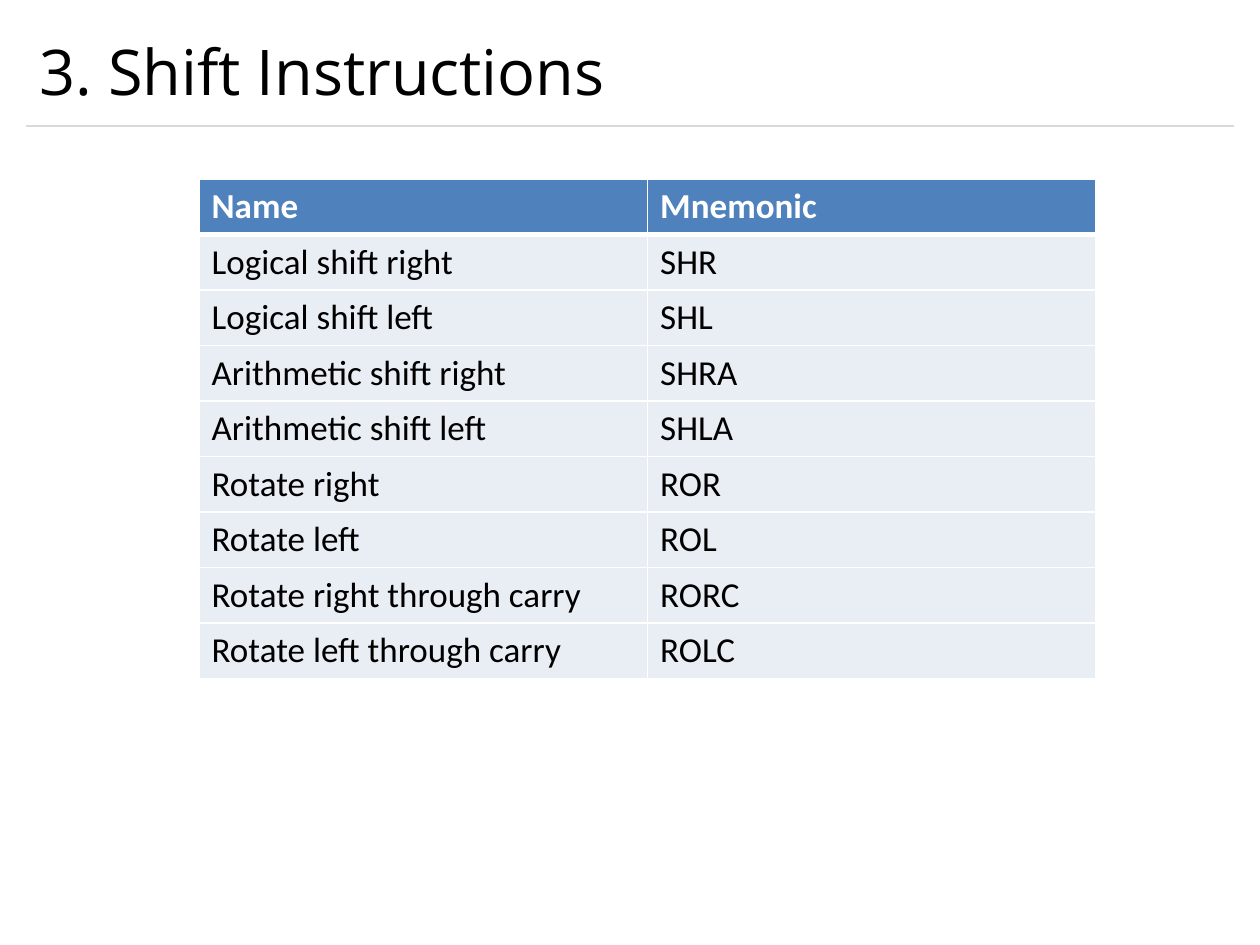
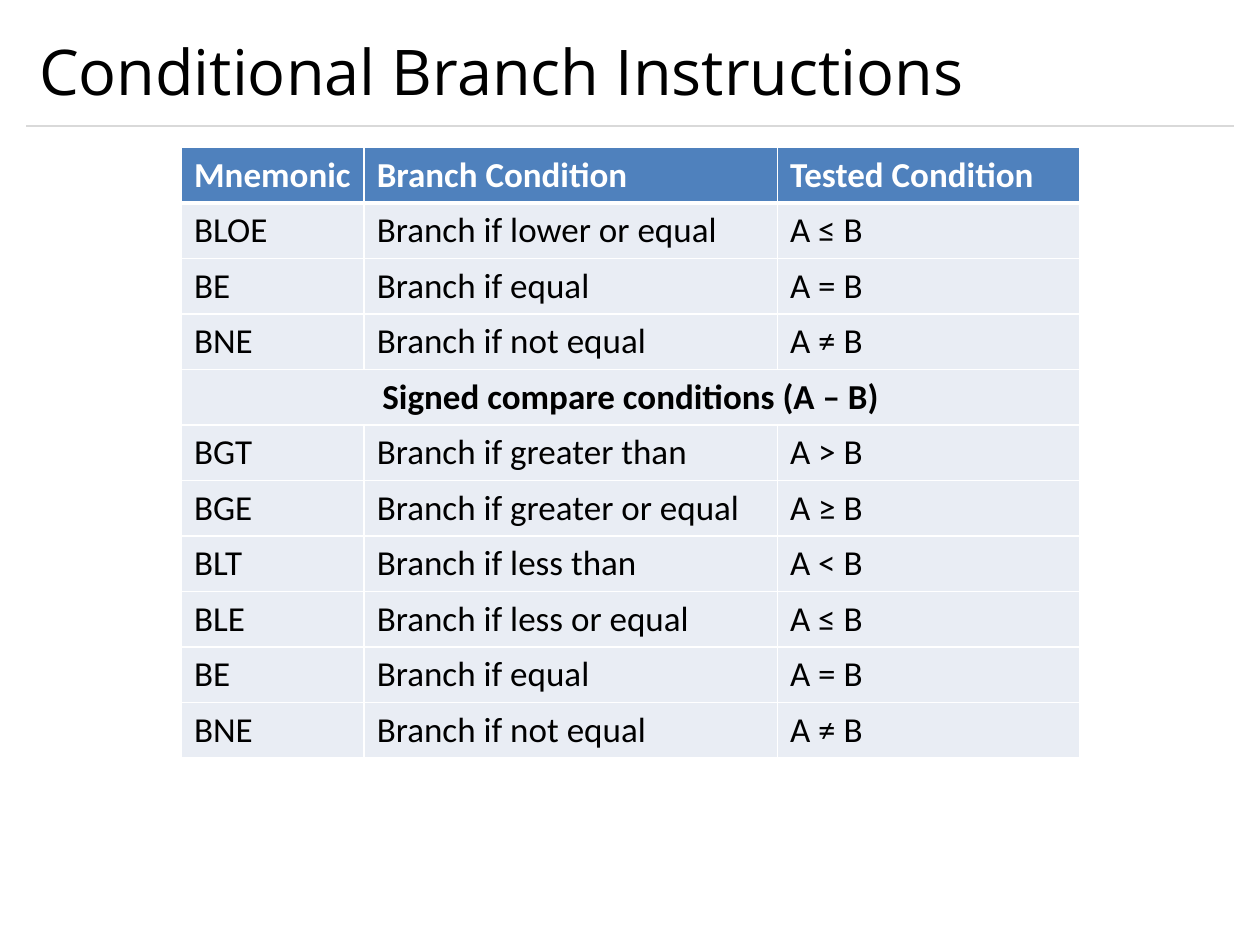
from pptx import Presentation
from pptx.dml.color import RGBColor
from pptx.enum.shapes import MSO_CONNECTOR
from pptx.enum.text import MSO_ANCHOR, MSO_AUTO_SIZE, PP_ALIGN
from pptx.oxml.ns import qn
from pptx.util import Inches, Pt
from lxml.etree import SubElement

# Content: a row with a single entry spans the whole table
SLIDES = [
    {
        "title": "3. Shift Instructions",
        "at": (1.58, 1.42),
        "cols": [3.56, 3.56],
        "rows": [
            ("Name", "Mnemonic"),
            ("Logical shift right", "SHR"),
            ("Logical shift left", "SHL"),
            ("Arithmetic shift right", "SHRA"),
            ("Arithmetic shift left", "SHLA"),
            ("Rotate right", "ROR"),
            ("Rotate left", "ROL"),
            ("Rotate right through carry", "RORC"),
            ("Rotate left through carry", "ROLC"),
        ],
    },
    {
        "title": "Conditional Branch Instructions",
        "at": (1.44, 1.17),
        "cols": [1.45, 3.28, 2.4],
        "rows": [
            ("Mnemonic", "Branch Condition", "Tested Condition"),
            ("BLOE", "Branch if lower or equal", "A ≤ B"),
            ("BE", "Branch if equal", "A = B"),
            ("BNE", "Branch if not equal", "A ≠ B"),
            ("Signed compare conditions (A – B)",),
            ("BGT", "Branch if greater than", "A > B"),
            ("BGE", "Branch if greater or equal", "A ≥ B"),
            ("BLT", "Branch if less than", "A < B"),
            ("BLE", "Branch if less or equal", "A ≤ B"),
            ("BE", "Branch if equal", "A = B"),
            ("BNE", "Branch if not equal", "A ≠ B"),
        ],
    },
]

# Shared style
BLACK, WHITE, RULE = "000000", "FFFFFF", "D9D9D9"
HEADER, BODY = "4F81BD", "E9EDF4"
TITLE_FONT, TABLE_FONT = "Open Sans", "Calibri"
LEFT, WIDTH = 0.21, 9.58
TITLE_TOP, RULE_Y = 0.12, 1
ROW_H = 0.43


def rgb(value):
    return RGBColor.from_string(value)


def style_text(p, font, size, color, bold=False, align=PP_ALIGN.LEFT):
    p.alignment = align
    for r in p.runs:
        f = r.font
        f.name, f.size, f.bold = font, Pt(size), bold
        f.color.rgb = rgb(color)


def add_rule(s):
    line = s.shapes.add_connector(
        MSO_CONNECTOR.STRAIGHT, Inches(LEFT), Inches(RULE_Y),
        Inches(LEFT + WIDTH), Inches(RULE_Y))
    line.line.color.rgb = rgb(RULE)
    line.line.width = Pt(0.75)
    SubElement(line._element.spPr, qn("a:effectLst"))


def set_title(s, text):
    sp = s.shapes.title
    sp.left, sp.top = Inches(LEFT), Inches(TITLE_TOP)
    sp.width, sp.height = Inches(WIDTH), Inches(RULE_Y - TITLE_TOP)
    tf = sp.text_frame
    tf.text = text
    tf.auto_size = MSO_AUTO_SIZE.NONE
    tf.vertical_anchor = MSO_ANCHOR.MIDDLE
    style_text(tf.paragraphs[0], TITLE_FONT, 36, BLACK)


def set_borders(cell, top, bottom):
    tc_pr = cell._tc.get_or_add_tcPr()
    for side, width in (("L", 1), ("R", 1), ("T", top), ("B", bottom)):
        ln = SubElement(tc_pr, qn("a:ln" + side), w=str(Pt(width)))
        fill = SubElement(ln, qn("a:solidFill"))
        SubElement(fill, qn("a:srgbClr"), val=WHITE)


def add_grid(s, at, cols, rows):
    x, y = at
    table = s.shapes.add_table(
        len(rows), len(cols), Inches(x), Inches(y),
        Inches(sum(cols)), Inches(ROW_H * len(rows))).table
    table.horz_banding = False
    for column, width in zip(table.columns, cols):
        column.width = Inches(width)
    for i, row in enumerate(rows):
        table.rows[i].height = Inches(ROW_H)
        header, spans = i == 0, len(row) == 1
        for j in range(len(cols)):
            cell = table.cell(i, j)
            # The rule under the header is thicker
            set_borders(cell, 3 if i == 1 else 1, 3 if header else 1)
            cell.fill.solid()
            cell.fill.fore_color.rgb = rgb(HEADER if header else BODY)
        if spans:
            table.cell(i, 0).merge(table.cell(i, len(cols) - 1))
        for j, text in enumerate(row):
            tf = table.cell(i, j).text_frame
            tf.text = text
            style_text(tf.paragraphs[0], TABLE_FONT, 20,
                       WHITE if header else BLACK, header or spans,
                       PP_ALIGN.CENTER if spans else PP_ALIGN.LEFT)


def main():
    prs = Presentation()
    prs.slide_width, prs.slide_height = Inches(10), Inches(7.5)
    title_only = prs.slide_layouts[5]
    for content in SLIDES:
        s = prs.slides.add_slide(title_only)
        add_rule(s)
        set_title(s, content["title"])
        add_grid(s, content["at"], content["cols"], content["rows"])
    prs.save("out.pptx")


if __name__ == "__main__":
    main()
